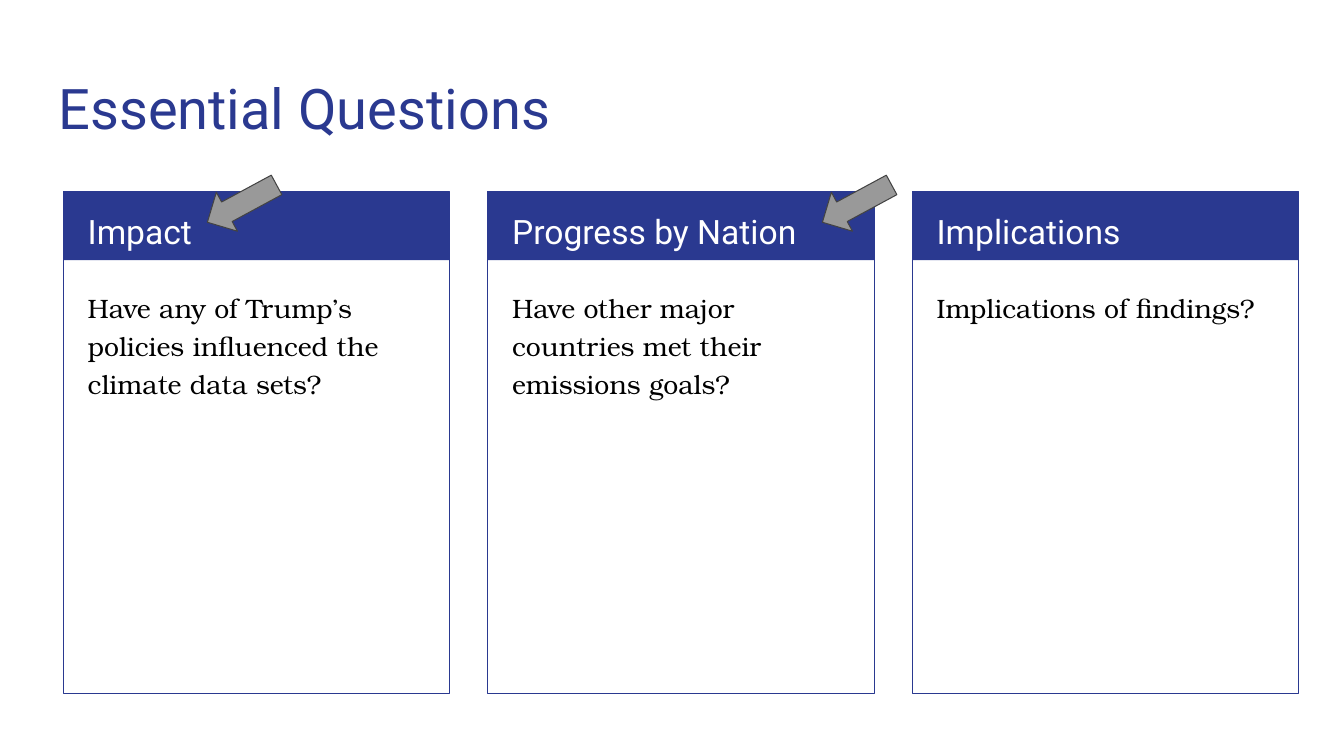
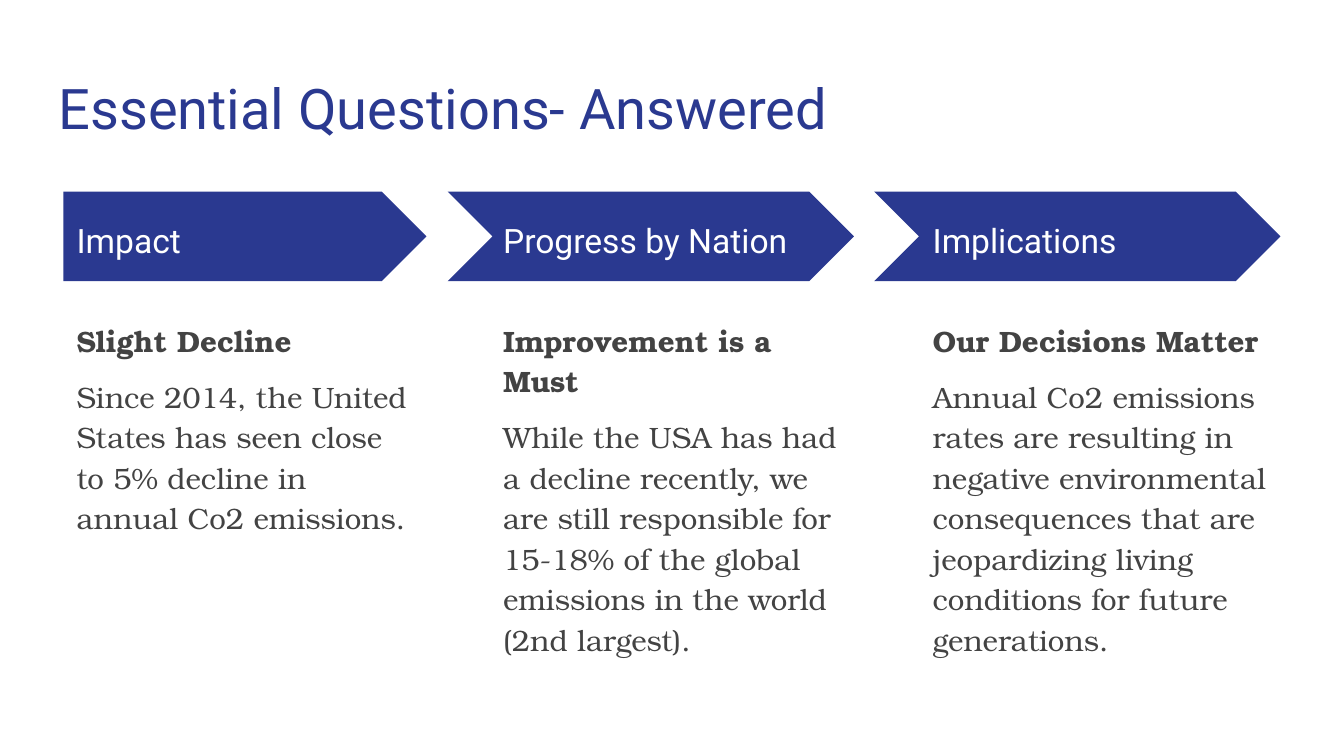
"""Build two slides that pose the essential questions and answer them."""
from dataclasses import dataclass
from typing import Any, Optional

from pptx import Presentation
from pptx.dml.color import RGBColor
from pptx.enum.shapes import MSO_SHAPE as Preset
from pptx.enum.text import MSO_ANCHOR as Anchor
from pptx.util import Emu, Pt

PX = 9144
NAVY, WHITE, BLACK = "2A3990", "FFFFFF", "000000"
CHARCOAL, GRAY = "434343", "999999"
HEADING_FONT, BODY_FONT = "Roboto", "TeX Gyre Bonum"

CARD_LEFT, CARD_PITCH, CARD_WIDTH, CARD_HEIGHT = 63, 421, 383, 498
CARD_INSET, CARD_HEADER = 11, 68
ROW_TOP = 190


@dataclass(frozen=True)
class Box:
    left: int
    top: int
    width: int
    height: int


@dataclass(frozen=True)
class Style:
    font: dict[str, Any]
    color: str
    paragraph: dict[str, Any]


@dataclass(frozen=True)
class Card:
    heading: str
    question: str


@dataclass(frozen=True)
class Step:
    preset: Preset
    left: int
    width: int
    text_left: int
    heading: str
    summary: str
    detail: str


TITLE = Style({"name": HEADING_FONT, "size": Pt(40)}, NAVY, {})
HEADING = Style({"name": HEADING_FONT, "size": Pt(24)}, WHITE, {"line_spacing": 1.15})
QUESTION = Style({"name": BODY_FONT, "size": Pt(19)}, BLACK,
                 {"line_spacing": 1.2, "space_before": Pt(13)})
SUMMARY = Style({"name": BODY_FONT, "size": Pt(21), "bold": True}, CHARCOAL,
                {"line_spacing": 1.15})
DETAIL = Style({"name": BODY_FONT, "size": Pt(21)}, CHARCOAL,
               {"line_spacing": 1.15, "space_before": Pt(11), "space_after": Pt(11)})

CARDS = [
    Card("Impact", "Have any of Trump’s policies influenced the climate data sets?"),
    Card("Progress by Nation", "Have other major countries met their emissions goals?"),
    Card("Implications", "Implications of findings?"),
]
POINTERS = [Box(left, 180, 78, 44) for left in (201, 811)]
STEPS = [
    Step(Preset.PENTAGON, 63, 360, 63, "Impact", "Slight Decline",
         "Since 2014, the United States has seen close to 5% decline in "
         "annual Co2 emissions."),
    Step(Preset.CHEVRON, 444, 403, 486, "Progress by Nation", "Improvement is a Must",
         "While the USA has had a decline recently, we are still responsible for "
         "15-18% of the global emissions in the world (2nd largest)."),
    Step(Preset.CHEVRON, 867, 403, 912, "Implications", "Our Decisions Matter",
         "Annual Co2 emissions rates are resulting in negative environmental "
         "consequences that are jeopardizing living conditions for future generations."),
]


def px(length: int) -> Emu:
    return Emu(length * PX)


def rgb(color: str) -> RGBColor:
    return RGBColor.from_string(color)


def place(box: Box) -> tuple[Emu, Emu, Emu, Emu]:
    return px(box.left), px(box.top), px(box.width), px(box.height)


def apply(target: Any, values: dict[str, Any]) -> None:
    for name, value in values.items():
        setattr(target, name, value)


def add_text(slide: Any, box: Box, *items: tuple[str, Style],
             anchor: Anchor = Anchor.TOP) -> None:
    frame = slide.shapes.add_textbox(*place(box)).text_frame
    margins = {f"margin_{side}": px(13) for side in ("left", "top", "right", "bottom")}
    apply(frame, {"word_wrap": True, "vertical_anchor": anchor, **margins})
    for index, (text, style) in enumerate(items):
        paragraph = frame.add_paragraph() if index else frame.paragraphs[0]
        apply(paragraph, style.paragraph)
        run = paragraph.add_run()
        run.text = text
        apply(run.font, style.font)
        run.font.color.rgb = rgb(style.color)


def add_figure(slide: Any, preset: Preset, box: Box, fill: Optional[str] = None,
               line: Optional[str] = None, rotation: float = 0) -> None:
    shape = slide.shapes.add_shape(preset, *place(box))
    shape.shadow.inherit = False
    shape.rotation = rotation
    if fill:
        shape.fill.solid()
        shape.fill.fore_color.rgb = rgb(fill)
    else:
        shape.fill.background()
    if line:
        shape.line.color.rgb = rgb(line)
        shape.line.width = Pt(0.75)
    else:
        shape.line.fill.background()


def add_titled_slide(presentation: Any, title: str) -> Any:
    slide = presentation.slides.add_slide(presentation.slide_layouts[6])
    add_text(slide, Box(45, 60, 1242, 89), (title, TITLE))
    return slide


def add_card(slide: Any, left: int, card: Card) -> None:
    add_figure(slide, Preset.RECTANGLE, Box(left, ROW_TOP, CARD_WIDTH, CARD_HEADER), NAVY)
    add_figure(slide, Preset.RECTANGLE, Box(left, ROW_TOP, CARD_WIDTH, CARD_HEIGHT),
               line=NAVY)
    text_left = left + CARD_INSET
    add_text(slide, Box(text_left, ROW_TOP, 364, 67), (card.heading, HEADING))
    add_text(slide, Box(text_left, 270, 361, 408), (card.question, QUESTION))


def add_step(slide: Any, step: Step) -> None:
    add_figure(slide, step.preset, Box(step.left, ROW_TOP, step.width, 89), NAVY)
    add_text(slide, Box(step.text_left, 212, 329, 46), (step.heading, HEADING),
             anchor=Anchor.MIDDLE)
    add_text(slide, Box(step.text_left, 302, 360, 387),
             (step.summary, SUMMARY), (step.detail, DETAIL))


def main() -> None:
    presentation = Presentation()
    apply(presentation, {"slide_width": px(1333), "slide_height": px(750)})

    questions = add_titled_slide(presentation, "Essential Questions")
    for index, card in enumerate(CARDS):
        add_card(questions, CARD_LEFT + index * CARD_PITCH, card)
    for pointer in POINTERS:
        add_figure(questions, Preset.RIGHT_ARROW, pointer, GRAY, CHARCOAL, 151.6)

    answers = add_titled_slide(presentation, "Essential Questions- Answered")
    for step in STEPS:
        add_step(answers, step)

    presentation.save("out.pptx")


if __name__ == "__main__":
    main()
